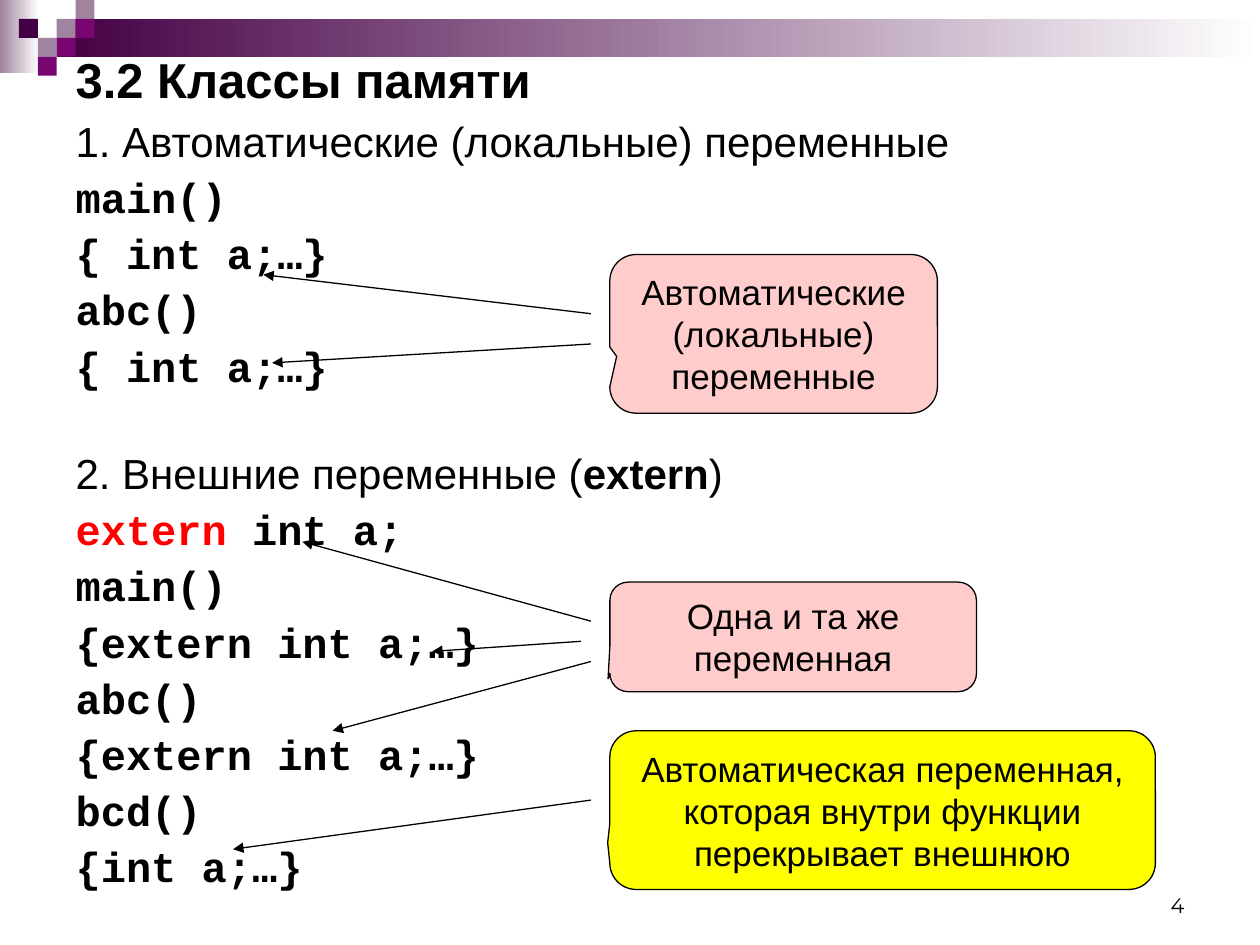
from lxml import etree
from pptx import Presentation, util as u
from pptx.dml.color import RGBColor
from pptx.enum import shapes, text
from pptx.oxml.ns import qn

BLACK, RED, PINK, YELLOW = "000000", "FF0000", "FFCCCC", "FFFF00"
DARK, PLUM, MAUVE, WHITE = "440044", "790571", "9F839F", "FFFFFF"
ARIAL = {"name": "Arial", "size": u.Pt(24), "bold": False}
CODE = {"name": "Courier New", "size": u.Pt(24), "bold": True}


def paint(color_format, value):
    color_format.rgb = RGBColor.from_string(value)


def add_run(paragraph, words, font, color=BLACK):
    run = paragraph.add_run()
    run.text = words
    for name, value in font.items():
        setattr(run.font, name, value)
    paint(run.font.color, color)


presentation = Presentation()
presentation.slide_width, presentation.slide_height = u.Inches(10), u.Inches(7.5)
slide = presentation.slides.add_slide(presentation.slide_layouts[1])

# Header bands, each fading to white, then the mosaic on a grid of square cells
cell = 0.15
rectangles = [
    (0, 0, 0.31, 0.58, MAUVE, True),
    (3 * cell, cell, 10 - 3 * cell, 2 * cell, DARK, True),
]
for column, row, color in [(3, 1, MAUVE), (4, 0, MAUVE), (4, 1, PLUM), (2, 2, MAUVE),
                           (1, 1, DARK), (3, 2, PLUM), (2, 3, PLUM)]:
    rectangles.append((column * cell, row * cell, cell, cell, color, False))
for left, top, width, height, color, fades in rectangles:
    shape = slide.shapes.add_shape(shapes.MSO_SHAPE.RECTANGLE, *map(u.Inches, (left, top, width, height)))
    shape.shadow.inherit = False
    shape.line.fill.background()
    if fades:
        shape.fill.gradient()
        shape.fill.gradient_angle = 0
        for stop, stop_color, position in zip(shape.fill.gradient_stops, (color, WHITE), (0, 1)):
            paint(stop.color, stop_color)
            stop.position = position
    else:
        shape.fill.solid()
        paint(shape.fill.fore_color, color)

# Title and body placeholders, brought in front of the header
title, body = slide.shapes.title, slide.placeholders[1]
for shape, top, height, anchor in [(title, 0.5, 0.26, text.MSO_ANCHOR.MIDDLE),
                                   (body, 0.91, 6.3, text.MSO_ANCHOR.TOP)]:
    slide.shapes._spTree.append(shape._element)
    shape.left, shape.top, shape.width, shape.height = map(u.Inches, (0.5, top, 9, height))
    frame_format = {"word_wrap": True, "auto_size": text.MSO_AUTO_SIZE.NONE, "vertical_anchor": anchor}
    for name, value in frame_format.items():
        setattr(shape.text_frame, name, value)
heading = title.text_frame.paragraphs[0]
heading.alignment = text.PP_ALIGN.LEFT
add_run(heading, "3.2 Классы памяти", {**ARIAL, "size": u.Pt(28), "bold": True})

# Body: each line is a list of runs; the second section opens with a wider gap
lines = [
    [("1. Автоматические (локальные) переменные", ARIAL)],
    *[[(line, CODE)] for line in ("main()", "{ int a;…}", "abc()", "{ int a;…}")],
    [("2. Внешние переменные (", ARIAL), ("extern", {**ARIAL, "bold": True}), (")", ARIAL)],
    [("extern ", CODE, RED), ("int a;", CODE)],
    *[[(line, CODE)] for line in ("main()", "{extern int a;…}", "abc()", "{extern int a;…}",
                                  "bcd()", "{int a;…}")],
]
for index, line in enumerate(lines):
    paragraph = body.text_frame.paragraphs[0] if index == 0 else body.text_frame.add_paragraph()
    paragraph.line_spacing = 0.9
    paragraph.space_before = u.Pt(35.5 if line[0][0].startswith("2.") else 6.2)
    properties = paragraph._p.get_or_add_pPr()
    properties.set("marL", str(u.Inches(0.38)))
    properties.set("indent", str(u.Inches(-0.38)))
    etree.SubElement(properties, qn("a:buNone"))
    for run in line:
        add_run(paragraph, *run)

# Callouts share one left edge
callouts = [
    (2.02, 2.6, 1.26, PINK, (-0.479, 0.142), ["Автоматические", "(локальные)", "переменные"]),
    (4.62, 2.91, 0.87, PINK, (-0.505, 0.382), ["Одна и та же переменная"]),
    (5.8, 4.33, 1.26, YELLOW, (-0.504, 0.205),
     ["Автоматическая переменная, которая внутри функции перекрывает внешнюю"]),
]
for top, width, height, color, tip, words in callouts:
    shape = slide.shapes.add_shape(shapes.MSO_SHAPE.ROUNDED_RECTANGULAR_CALLOUT,
                                   *map(u.Inches, (4.84, top, width, height)))
    shape.shadow.inherit = False
    shape.adjustments[0], shape.adjustments[1] = tip
    shape.fill.solid()
    paint(shape.fill.fore_color, color)
    paint(shape.line.color, BLACK)
    shape.line.width = u.Pt(0.75)
    frame = shape.text_frame
    frame.word_wrap = True
    frame.vertical_anchor = text.MSO_ANCHOR.TOP if len(words) > 3 else text.MSO_ANCHOR.MIDDLE
    for index, line in enumerate(words):
        paragraph = frame.paragraphs[0] if index == 0 else frame.add_paragraph()
        paragraph.alignment = text.PP_ALIGN.CENTER
        add_run(paragraph, line, {**ARIAL, "size": u.Pt(20)})

# Arrows from the callouts to the declarations
arrows = [
    (4.69, 2.49, 2.09, 2.18), (4.69, 2.73, 2.16, 2.88),
    (4.69, 4.93, 2.4, 4.3), (4.61, 5.09, 3.43, 5.17), (4.69, 5.25, 2.64, 5.8),
    (4.69, 6.35, 1.85, 6.74),
]
for ends in arrows:
    arrow = slide.shapes.add_connector(shapes.MSO_CONNECTOR.STRAIGHT, *map(u.Inches, ends))
    paint(arrow.line.color, BLACK)
    arrow.line.width = u.Pt(0.75)
    etree.SubElement(arrow.line._get_or_add_ln(), qn("a:tailEnd"), type="triangle")
    etree.SubElement(arrow._element.spPr, qn("a:effectLst"))

# Slide number
number = slide.shapes.add_textbox(*map(u.Inches, (7.17, 6.83, 2.33, 0.5))).text_frame
number.word_wrap = True
number.vertical_anchor = text.MSO_ANCHOR.BOTTOM
number.paragraphs[0].alignment = text.PP_ALIGN.RIGHT
add_run(number.paragraphs[0], "4", {"name": "Montserrat", "size": u.Pt(12)})

presentation.save("out.pptx")
